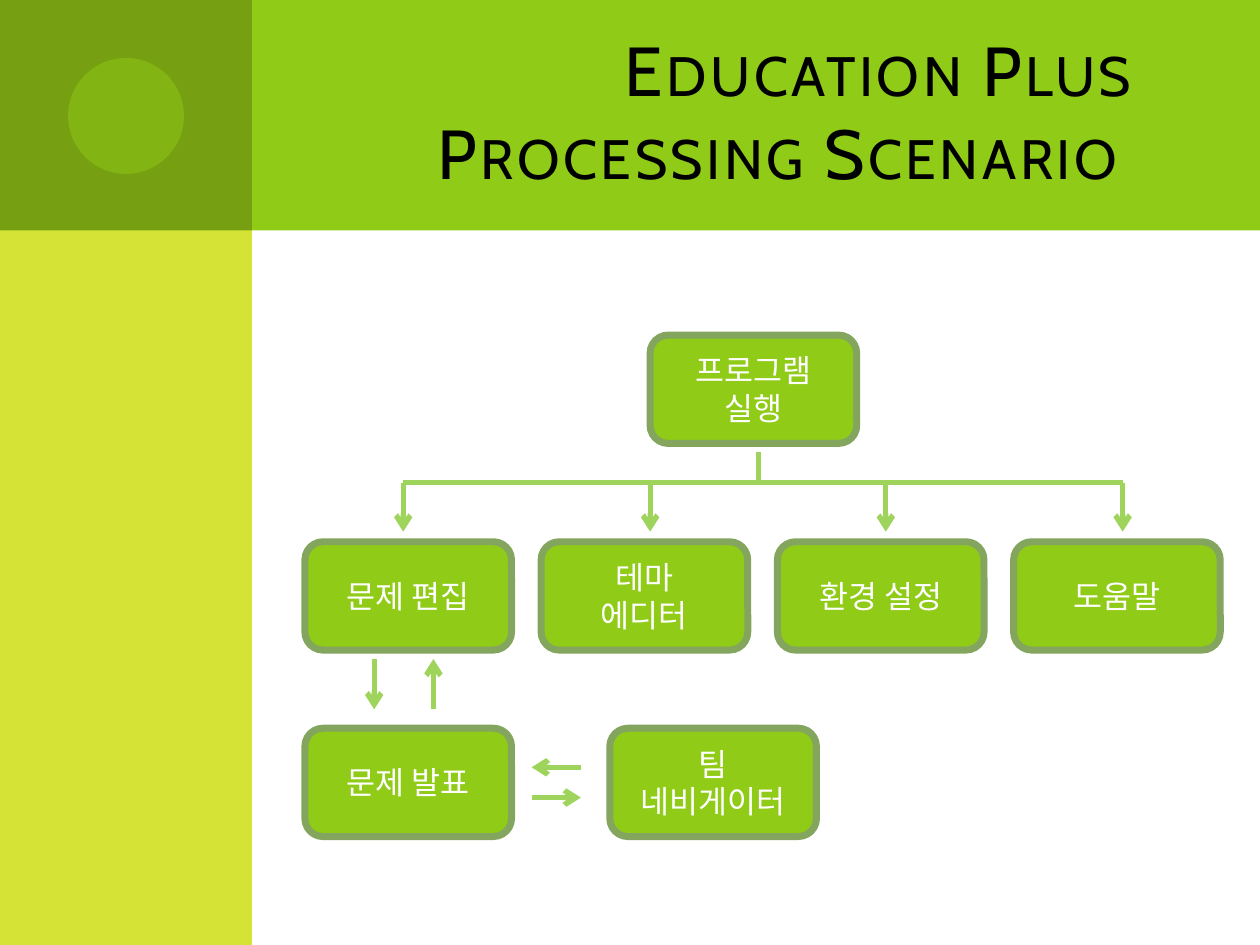
from dataclasses import dataclass

from lxml import etree
from pptx import Presentation
from pptx.dml import color
from pptx.enum import shapes, text
from pptx.oxml import ns
from pptx.util import Inches, Pt


@dataclass(frozen=True)
class Theme:
    green: str = "8FCB17"
    dark_green: str = "769F11"
    lime: str = "D4E336"
    border: str = "84A55E"
    arrow: str = "9FD45C"
    title_color: str = "000000"
    box_text: str = "FFFFFF"
    title_font: str = "Cabin"
    body_font: str = "Calibri"
    title_size: float = 39.6
    body_size: float = 18
    border_width: float = 4
    arrow_width: float = 3


def rgb(value):
    return color.RGBColor.from_string(value)


def write_text(frame, content, *, font, size, fill, align, small_caps=False, spacing=0):
    """Newlines start paragraphs; vertical tabs break a line within one."""
    frame.word_wrap = True
    frame.auto_size = text.MSO_AUTO_SIZE.NONE
    frame.vertical_anchor = text.MSO_ANCHOR.MIDDLE
    for index, line in enumerate(content.split("\n")):
        paragraph = frame.add_paragraph() if index else frame.paragraphs[0]
        paragraph.text = line
        paragraph.alignment = align
        for run in paragraph.runs:
            run.font.name = font
            run.font.size = Pt(size)
            run.font.color.rgb = rgb(fill)
            properties = run.font._element
            if small_caps:
                properties.set("cap", "small")
            if spacing:
                properties.set("spc", str(spacing * 100))


class SlideBuilder:
    def __init__(self, slide, theme):
        self.slide = slide
        self.theme = theme

    def shape(self, kind, left, top, width, height, fill, alpha=None):
        shape = self.slide.shapes.add_shape(
            kind, Inches(left), Inches(top), Inches(width), Inches(height))
        shape.shadow.inherit = False
        shape.fill.solid()
        shape.fill.fore_color.rgb = rgb(fill)
        shape.line.fill.background()
        if alpha is not None:
            fill_color = shape._element.spPr.find(".//" + ns.qn("a:srgbClr"))
            etree.SubElement(fill_color, ns.qn("a:alpha"), val=str(alpha * 1000))
        return shape

    def title(self, content, left, top, width, height):
        title = self.slide.shapes.title
        title.left, title.top = Inches(left), Inches(top)
        title.width, title.height = Inches(width), Inches(height)
        write_text(title.text_frame, content, font=self.theme.title_font,
                   size=self.theme.title_size, fill=self.theme.title_color,
                   align=text.PP_ALIGN.RIGHT, small_caps=True, spacing=2)
        # Bring the title in front of the background bands.
        title.element.getparent().append(title.element)

    def box(self, content, left, top, width=1.64, height=0.86):
        box = self.shape(shapes.MSO_SHAPE.ROUNDED_RECTANGLE,
                         left, top, width, height, self.theme.green)
        box.line.color.rgb = rgb(self.theme.border)
        box.line.width = Pt(self.theme.border_width)
        write_text(box.text_frame, content, font=self.theme.body_font,
                   size=self.theme.body_size, fill=self.theme.box_text,
                   align=text.PP_ALIGN.CENTER)

    def line(self, start, end, arrow=True):
        connector = self.slide.shapes.add_connector(
            shapes.MSO_CONNECTOR.STRAIGHT, *map(Inches, start + end))
        connector.line.color.rgb = rgb(self.theme.arrow)
        connector.line.width = Pt(self.theme.arrow_width)
        if arrow:
            etree.SubElement(connector.line._get_or_add_ln(),
                             ns.qn("a:tailEnd"), type="arrow")
        etree.SubElement(connector._element.spPr, ns.qn("a:effectLst"))


def add_background(builder):
    theme = builder.theme
    rectangle = shapes.MSO_SHAPE.RECTANGLE
    builder.shape(rectangle, 0.5, 0, 9.5, 1.83, theme.green)
    builder.shape(rectangle, 0, 0, 2, 7.5, theme.lime)
    builder.shape(rectangle, 0, 0, 2, 1.83, theme.dark_green)
    builder.shape(shapes.MSO_SHAPE.OVAL, 0.54, 0.46, 0.92, 0.92, theme.green, alpha=50)


def add_flow(builder):
    first_column, column_step = 2.42, 1.875
    menu_top, presentation_top = 4.3, 5.78
    builder.box("프로그램\n실행", 5.16, 2.66)
    for column, label in enumerate(["문제 편집", "테마\n에디터", "환경 설정", "도움말"]):
        builder.box(label, first_column + column * column_step, menu_top)
    builder.box("문제 발표", first_column, presentation_top)
    builder.box("팀\n네비게이터", 4.84, presentation_top)

    branch_y = 3.83
    branches = [3.2, 5.16, 7.03, 8.91]
    builder.line((branches[0], branch_y), (branches[-1], branch_y), arrow=False)
    for x in branches:
        builder.line((x, branch_y), (x, 4.22))
    builder.line((2.97, 5.23), (2.97, 5.63))
    builder.line((3.44, 5.63), (3.44, 5.23))
    builder.line((4.61, 6.09), (4.22, 6.09))
    builder.line((4.22, 6.33), (4.61, 6.33))
    builder.line((6.02, branch_y), (6.02, 3.59), arrow=False)


def main():
    presentation = Presentation()
    presentation.slide_width, presentation.slide_height = Inches(10), Inches(7.5)
    title_only = presentation.slide_layouts[5]
    builder = SlideBuilder(presentation.slides.add_slide(title_only), Theme())
    add_background(builder)
    builder.title("Education Plus\vProcessing Scenario", 2.67, 0.25, 6.83, 1.25)
    add_flow(builder)
    presentation.save("out.pptx")


if __name__ == "__main__":
    main()
